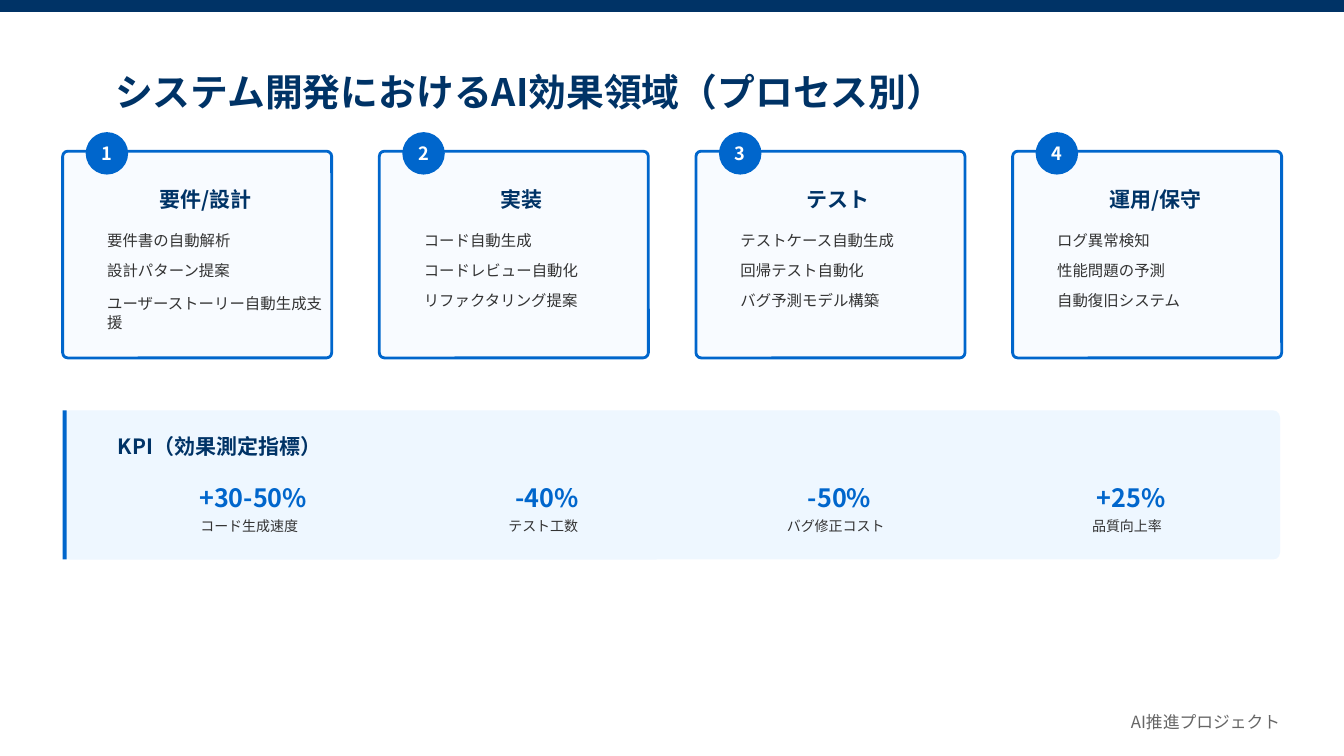
from pptx import Presentation
from pptx.dml.color import RGBColor
from pptx.enum.shapes import MSO_SHAPE
from pptx.enum.text import MSO_ANCHOR, MSO_AUTO_SIZE, PP_ALIGN
from pptx.oxml.ns import qn
from pptx.util import Cm, Pt

RECTANGLE = MSO_SHAPE.RECTANGLE
ROUNDED = MSO_SHAPE.ROUNDED_RECTANGLE
OVAL = MSO_SHAPE.OVAL
LEFT, CENTER = PP_ALIGN.LEFT, PP_ALIGN.CENTER

FONT = "Noto Sans CJK JP"
COLORS = {
    "navy": "003366", "blue": "0066CC", "card": "F8FBFF", "panel": "EEF7FF",
    "text": "333333", "footer": "666666", "white": "FFFFFF",
}
# Text styles: size, bold, colour, alignment
STYLES = {
    "title": (27, True, "navy", LEFT),
    "badge": (13, True, "white", CENTER),
    "heading": (15, True, "navy", CENTER),
    "item": (11, False, "text", LEFT),
    "panel title": (15, True, "navy", LEFT),
    "value": (18, True, "blue", CENTER),
    "label": (10, False, "text", CENTER),
    "footer": (12, False, "footer", LEFT),
}
CARDS = [
    ("要件/設計", ["要件書の自動解析", "設計パターン提案", "ユーザーストーリー自動生成支援"]),
    ("実装", ["コード自動生成", "コードレビュー自動化", "リファクタリング提案"]),
    ("テスト", ["テストケース自動生成", "回帰テスト自動化", "バグ予測モデル構築"]),
    ("運用/保守", ["ログ異常検知", "性能問題の予測", "自動復旧システム"]),
]
# Value, label, centre of the value in cm
KPIS = [
    ("+30-50%", "コード生成速度", 6.38),
    ("-40%", "テスト工数", 13.79),
    ("-50%", "バグ修正コスト", 21.16),
    ("+25%", "品質向上率", 28.5),
]
CARD_LEFT, CARD_PITCH = 1.58, 7.98
LONG_ITEM = 14  # characters that fit on one line of a card

presentation = Presentation()
presentation.slide_width, presentation.slide_height = Cm(33.87), Cm(19.05)
# The comparison layout has a title and four body placeholders
slide = presentation.slides.add_slide(presentation.slide_layouts[4])
shapes = slide.shapes


def add_block(kind, left, top, width, height, fill):
    shape = shapes.add_shape(kind, Cm(left), Cm(top), Cm(width), Cm(height))
    shape.shadow.inherit = False
    shape.fill.solid()
    shape.fill.fore_color.rgb = RGBColor.from_string(COLORS[fill])
    shape.line.fill.background()
    return shape


def write(shape, lines, style, box=None, anchor=MSO_ANCHOR.MIDDLE):
    if box:
        shape.left, shape.top, shape.width, shape.height = [Cm(length) for length in box]
    frame = shape.text_frame
    frame.text = "\n".join(lines)
    frame_format = {
        "margin_left": 0, "margin_top": 0, "margin_right": 0, "margin_bottom": 0,
        "word_wrap": True, "auto_size": MSO_AUTO_SIZE.NONE, "vertical_anchor": anchor,
    }
    for name, value in frame_format.items():
        setattr(frame, name, value)
    size, bold, color, alignment = STYLES[style]
    for paragraph in frame.paragraphs:
        paragraph.alignment = alignment
        paragraph.space_before = Pt(0)
        for run in paragraph.runs:
            for name, value in {"size": Pt(size), "bold": bold, "name": FONT}.items():
                setattr(run.font, name, value)
            run.font.color.rgb = RGBColor.from_string(COLORS[color])
            east_asian = run.font._element.makeelement(qn("a:ea"), {"typeface": FONT})
            run.font._element.find(qn("a:latin")).addnext(east_asian)


# Top bar and title
add_block(RECTANGLE, 0, 0, 33.87, 0.3, "navy")
write(shapes.title, ["システム開発におけるAI効果領域（プロセス別）"], "title", (2.9, 1.63, 21.62, 1.37))

# Process cards
for index, (heading, items) in enumerate(CARDS):
    left = CARD_LEFT + index * CARD_PITCH
    card = add_block(ROUNDED, left, 3.81, 6.78, 5.21, "card")
    card.adjustments[0] = 0.025
    card.line.color.rgb = RGBColor.from_string(COLORS["blue"])
    card.line.width = Pt(2)

    badge = add_block(OVAL, left + 0.58, 3.33, 1.07, 1.07, "blue")
    write(badge, [str(index + 1)], "badge")

    heading_box = shapes.add_textbox(0, 0, 0, 0)
    write(heading_box, [heading], "heading", (left + 2.19, 4.65, 2.8, 0.76))

    # Item list, brought in front of its card
    item_list = slide.placeholders[index + 1]
    shapes.element.append(item_list.element)
    write(item_list, items, "item", (left + 1.12, 5.8, 5.54, 2.8), MSO_ANCHOR.TOP)
    for number, paragraph in enumerate(item_list.text_frame.paragraphs):
        properties = paragraph._p.get_or_add_pPr()
        properties.set("marL", "0")
        properties.set("indent", "0")
        properties.append(properties.makeelement(qn("a:buNone"), {}))
        paragraph.line_spacing = Pt(13.6)
        if number:
            paragraph.space_before = Pt(10 if len(paragraph.text) > LONG_ITEM else 7.8)

# KPI panel
panel = add_block(ROUNDED, 1.58, 10.34, 30.68, 3.76, "panel")
panel.adjustments[0] = 0.048
add_block(RECTANGLE, 1.58, 10.34, 0.1, 3.76, "blue")
panel_title = shapes.add_textbox(0, 0, 0, 0)
write(panel_title, ["KPI（効果測定指標）"], "panel title", (2.97, 10.87, 5.6, 0.76))

for value, label, center in KPIS:
    value_box = shapes.add_textbox(0, 0, 0, 0)
    write(value_box, [value], "value", (center - 1.75, 12.07, 3.5, 0.91))
    label_box = shapes.add_textbox(0, 0, 0, 0)
    write(label_box, [label], "label", (center - 1.85, 13, 3.5, 0.53))

# Footer
footer = shapes.add_textbox(0, 0, 0, 0)
write(footer, ["AI推進プロジェクト"], "footer", (28.5, 17.88, 4.2, 0.64))

presentation.save("out.pptx")
